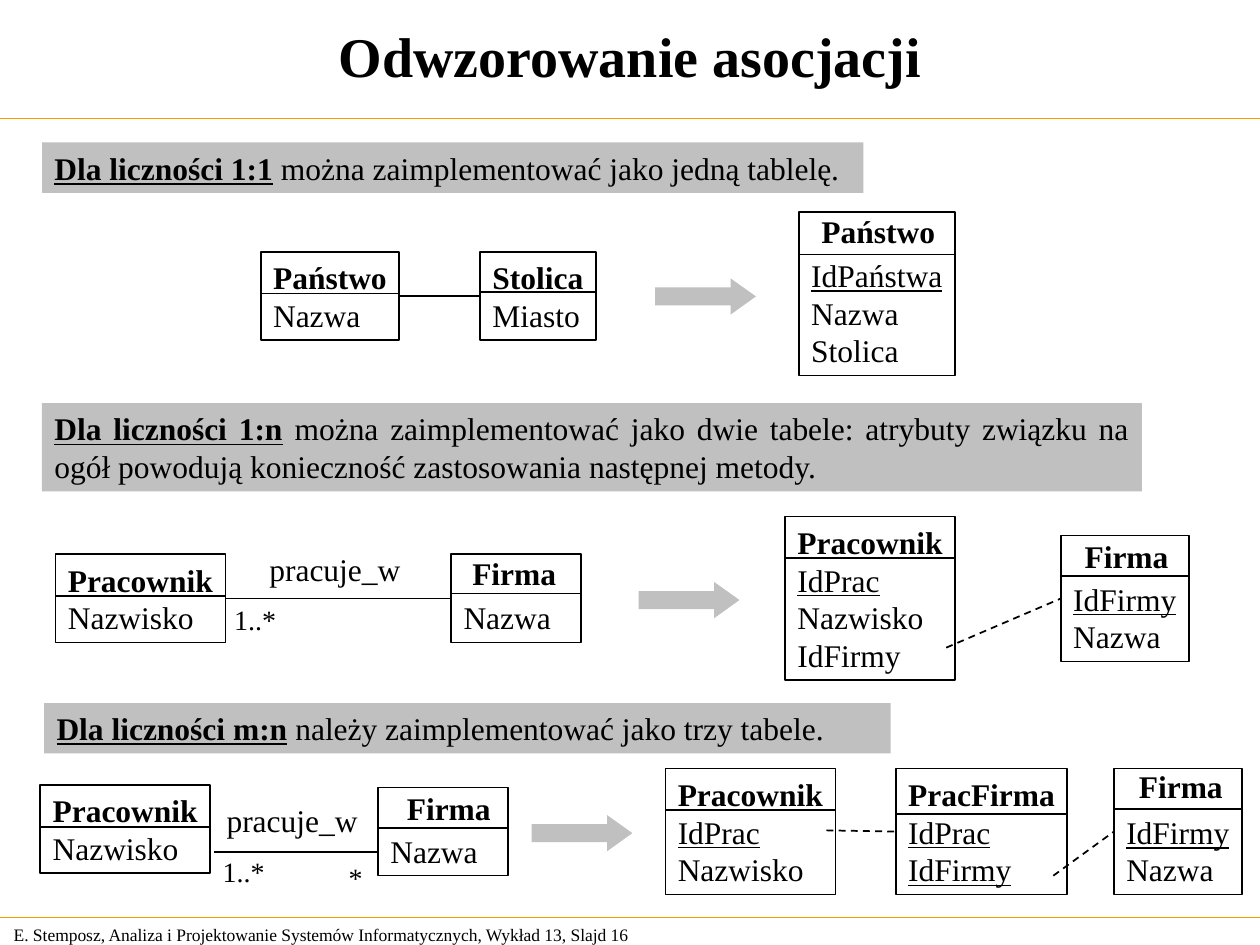
from pptx import Presentation
from pptx.dml.color import RGBColor
from pptx.enum.dml import MSO_LINE
from pptx.enum.shapes import MSO_CONNECTOR, MSO_SHAPE
from pptx.enum.text import MSO_ANCHOR, PP_ALIGN
from pptx.util import Pt
from lxml.etree import SubElement
from pptx.oxml.ns import qn

FONT = "Times New Roman"
BLACK, GREY, ORANGE = "000000", "C0C0C0", "FF9900"
TEXT_SIZE = 18
PITCH = 1.2 * TEXT_SIZE
INSET_X, INSET_Y = 7.2, 3.6
LEFT_SIDE, RIGHT_SIDE = 1, 3


def color(value):
    return RGBColor.from_string(value)


def box_height(lines):
    return 2 * INSET_Y + PITCH * lines


def set_frame(frame, top=INSET_Y, right=0.0, anchor=MSO_ANCHOR.TOP):
    frame.word_wrap = True
    frame.vertical_anchor = anchor
    frame.margin_left, frame.margin_right = Pt(INSET_X), Pt(right)
    frame.margin_top, frame.margin_bottom = Pt(top), Pt(INSET_Y)


def style(para, size=TEXT_SIZE, bold=False, underline=False, align=PP_ALIGN.LEFT):
    para.alignment = align
    para.line_spacing = Pt(1.2 * size)
    font = para.font
    font.name, font.size, font.bold, font.underline = FONT, Pt(size), bold, underline
    font.color.rgb = color(BLACK)


def add_shape(page, kind, left, top, width, height, fill=None, line=None):
    shape = page.shapes.add_shape(kind, Pt(left), Pt(top), Pt(width), Pt(height))
    shape.shadow.inherit = False
    if fill:
        shape.fill.solid()
        shape.fill.fore_color.rgb = color(fill)
    else:
        shape.fill.background()
    if line:
        shape.line.color.rgb = color(line)
        shape.line.width = Pt(1)
    else:
        shape.line.fill.background()
    return shape


def add_label(page, left, top, width, text, size=TEXT_SIZE, bold=False):
    box = page.shapes.add_textbox(Pt(left), Pt(top), Pt(width), Pt(2 * INSET_Y + 1.2 * size))
    set_frame(box.text_frame)
    para = box.text_frame.paragraphs[0]
    para.text = text
    style(para, size, bold)
    return box


def add_line(page, start, end, stroke=BLACK, width=1, dashed=False):
    line = page.shapes.add_connector(MSO_CONNECTOR.STRAIGHT, *map(Pt, (*start, *end)))
    line.line.color.rgb = color(stroke)
    line.line.width = Pt(width)
    if dashed:
        line.line.dash_style = MSO_LINE.DASH
    SubElement(line._element.spPr, qn("a:effectLst"))
    return line


def add_association(page, first, second):
    line = add_line(page, (0, 0), (0, 0))
    line.begin_connect(first, RIGHT_SIDE)
    line.end_connect(second, LEFT_SIDE)


def add_reference(page, left, top, target):
    """Dashed line from a foreign key to the table it refers to."""
    line = add_line(page, (left, top), (left, top), dashed=True)
    line.end_connect(target, LEFT_SIDE)


def add_entity(page, left, top, width, name, keys=(), fields=(), divider=23.8, name_offset=None):
    """Class or table box; name_offset sets the name apart from the list."""
    rows = [(key, False, True) for key in keys] + [(field, False, False) for field in fields]
    height = box_height(len(rows) + 1)
    entity = add_shape(page, MSO_SHAPE.RECTANGLE, left, top, width, height, line=BLACK)
    if name_offset:
        set_frame(entity.text_frame, top=INSET_Y + PITCH)
        add_label(page, left + name_offset[0], top + name_offset[1],
                  width - name_offset[0], name, bold=True)
    else:
        set_frame(entity.text_frame)
        rows.insert(0, (name, True, False))
    for index, (text, bold, underline) in enumerate(rows):
        frame = entity.text_frame
        para = frame.add_paragraph() if index else frame.paragraphs[0]
        para.text = text
        style(para, bold=bold, underline=underline)
    add_line(page, (left, top + divider), (left + width, top + divider))
    return entity


def add_banner(page, left, top, width, lead, rest, lines=1, align=PP_ALIGN.LEFT):
    banner = add_shape(page, MSO_SHAPE.RECTANGLE, left, top, width, box_height(lines), fill=GREY)
    set_frame(banner.text_frame, right=INSET_X)
    para = banner.text_frame.paragraphs[0]
    style(para, align=align)
    span = para.add_run()
    span.text = lead
    span.font.bold = span.font.underline = True
    para.add_run().text = rest


def add_arrow(page, left, top):
    arrow = add_shape(page, MSO_SHAPE.RIGHT_ARROW, left, top, 57.6, 20.6, fill=GREY)
    arrow.adjustments[1] = 0.7


def add_page_frame(page, width):
    for y in (67.7, 524.2):
        add_line(page, (0, y), (width, y), ORANGE, 0.75)
    add_label(page, 0.7, 524.2, 400, "E. Stemposz, Analiza i Projektowanie Systemów "
              "Informatycznych, Wykład 13, Slajd 16", size=10)
    title = page.shapes.title
    title.left, title.top, title.width, title.height = Pt(0), Pt(-1.4), Pt(width), Pt(66.2)
    set_frame(title.text_frame, right=INSET_X, anchor=MSO_ANCHOR.MIDDLE)
    para = title.text_frame.paragraphs[0]
    para.text = "Odwzorowanie asocjacji"
    style(para, 32, bold=True, align=PP_ALIGN.CENTER)


def add_one_to_one(page, left, top):
    add_banner(page, left, top, 469.4, "Dla liczności 1:1",
               " można zaimplementować jako jedną tablelę.")
    country = add_entity(page, left + 125, top + 62.6, 79.2, "Państwo", fields=["Nazwa"])
    capital = add_entity(page, left + 250.3, top + 62.6, 66.2, "Stolica",
                         fields=["Miasto"], divider=23)
    add_association(page, country, capital)
    add_arrow(page, left + 350.4, top + 77.7)
    add_entity(page, left + 432.5, top + 39.6, 89.3, "Państwo", ["IdPaństwa"],
               ["Nazwa", "Stolica"], 24.5, (5.8, -3.6))


def add_one_to_many(page, left, top):
    add_banner(page, left, top, 628.6, "Dla liczności 1:n",
               " można zaimplementować jako dwie tabele: atrybuty związku na ogół "
               "powodują konieczność zastosowania następnej metody.", 2, PP_ALIGN.JUSTIFY)
    worker = add_entity(page, left + 7.7, top + 86.4, 97.2, "Pracownik", fields=["Nazwisko"])
    company = add_entity(page, left + 233.8, top + 86.4, 74.2, "Firma",
                         fields=["Nazwa"], divider=22.3, name_offset=(5, -3.6))
    add_association(page, worker, company)
    add_label(page, left + 122.9, top + 80.6, 89.3, "pracuje_w")
    add_label(page, left + 102.7, top + 110.2, 38.2, "1..*", size=16)
    add_arrow(page, left + 341, top + 102.2)
    add_entity(page, left + 424.6, top + 64.8, 97.2, "Pracownik", ["IdPrac"],
               ["Nazwisko", "IdFirmy"])
    company_table = add_entity(page, left + 582.2, top + 75.6, 73.4, "Firma", ["IdFirmy"],
                               ["Nazwa"], 23, (6.5, -2.9))
    add_reference(page, left + 516.7, top + 139.7, company_table)


def add_many_to_many(page, left, top):
    add_banner(page, left, top, 483.8, "Dla liczności m:n",
               " należy zaimplementować jako trzy tabele.")
    add_entity(page, left - 2.2, top + 46.8, 97.2, "Pracownik", fields=["Nazwisko"])
    add_entity(page, left + 190.8, top + 48.2, 74.2, "Firma", fields=["Nazwa"],
               divider=23, name_offset=(9.4, -2.9))
    add_line(page, (left + 97.2, top + 84.9), (left + 190.8, top + 84.9))
    add_label(page, left + 97.2, top + 52.5, 89.3, "pracuje_w")
    add_label(page, left + 95, top + 82.8, 38.2, "1..*", size=16)
    add_label(page, left + 167, top + 86.4, 22.3, "*", size=16)
    add_arrow(page, left + 278.6, top + 64)
    tables_top = top + 37.4
    add_entity(page, left + 355, tables_top, 97.2, "Pracownik", ["IdPrac"], ["Nazwisko"])
    link_table = add_entity(page, left + 486.7, tables_top, 97.9, "PracFirma",
                            ["IdPrac", "IdFirmy"], divider=25.9)
    company_table = add_entity(page, left + 611.3, tables_top, 73.4, "Firma", ["IdFirmy"],
                               ["Nazwa"], 23, (7.2, -4.3))
    add_reference(page, left + 447.1, top + 72.7, link_table)
    add_reference(page, left + 576.7, top + 98.6, company_table)


def main():
    deck = Presentation()
    deck.slide_width, deck.slide_height = Pt(720), Pt(540)
    page = deck.slides.add_slide(deck.slide_layouts[5])
    add_page_frame(page, 720)
    add_one_to_one(page, 24, 81.4)
    add_one_to_many(page, 24, 230.4)
    add_many_to_many(page, 25.2, 401.8)
    deck.save("out.pptx")


if __name__ == "__main__":
    main()
